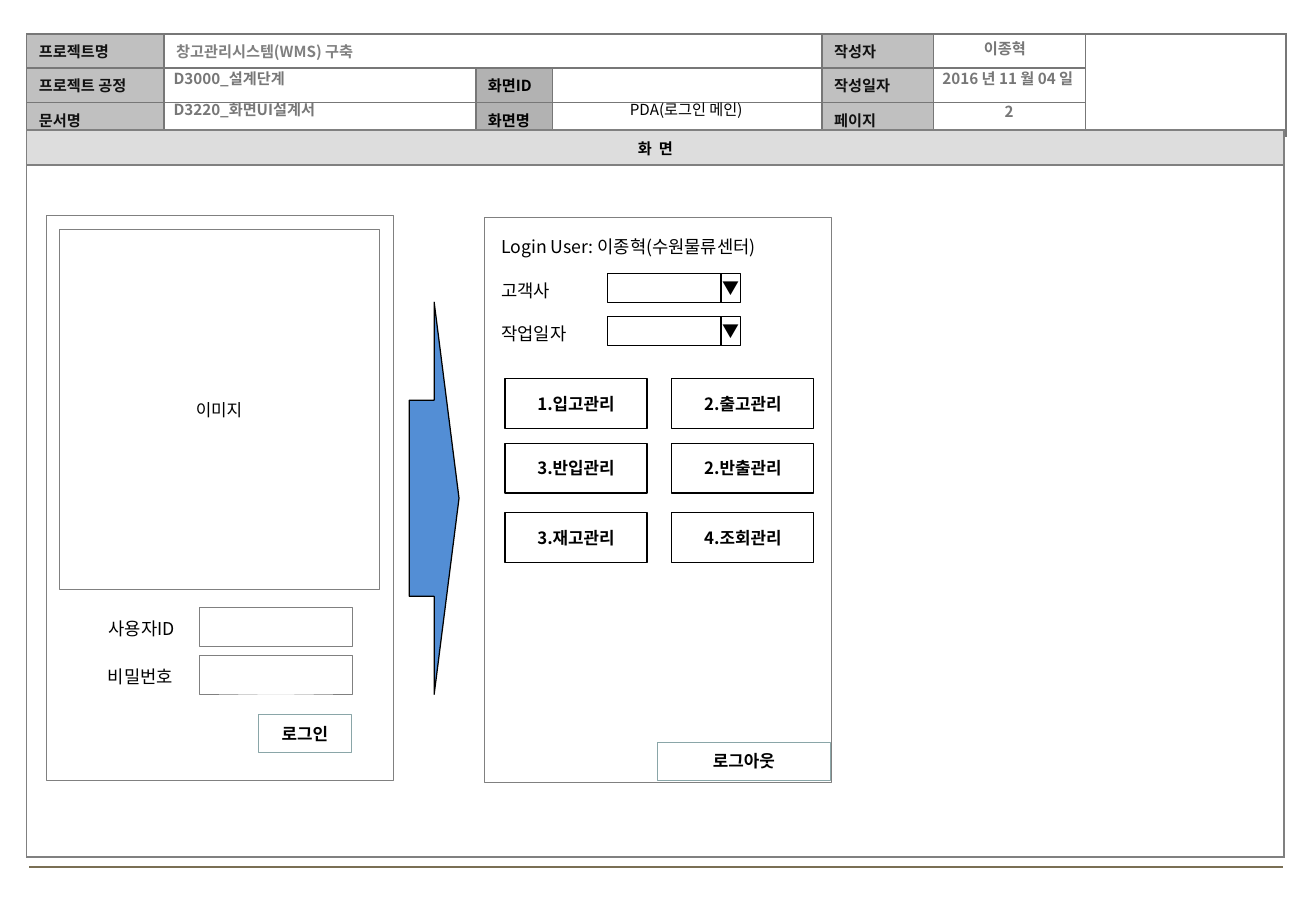
from lxml import etree
from pptx import Presentation
from pptx.dml.color import RGBColor
from pptx.enum.shapes import MSO_CONNECTOR, MSO_SHAPE
from pptx.enum.text import MSO_ANCHOR, MSO_AUTO_SIZE, PP_ALIGN
from pptx.oxml.ns import qn
from pptx.util import Cm, Pt

RECTANGLE = MSO_SHAPE.RECTANGLE
RIGHT_ARROW = MSO_SHAPE.RIGHT_ARROW
STRAIGHT = MSO_CONNECTOR.STRAIGHT
MIDDLE = MSO_ANCHOR.MIDDLE
LEFT, CENTER = PP_ALIGN.LEFT, PP_ALIGN.CENTER
FIT_TEXT = MSO_AUTO_SIZE.SHAPE_TO_FIT_TEXT

FONT = "Noto Sans CJK KR"
BLACK, WHITE, GRAY, TEAL = "000000", "FFFFFF", "808080", "8AA6A8"
HEADER_LINE, LABEL_TEXT, LABEL_FILL, SCREEN_FILL = "777777", "111111", "C0C0C0", "B2B2B2"


def color(hex_value):
    return RGBColor.from_string(hex_value)


def write(frame, text, size=10, ink=BLACK, bold=False, align=LEFT):
    paragraph = frame.paragraphs[0]
    paragraph.alignment = align
    run = paragraph.add_run()
    run.text = text
    run.font.size = Pt(size)
    run.font.bold = bold
    run.font.color.rgb = color(ink)
    run.font.name = FONT
    etree.SubElement(run.font._element, qn("a:ea")).set("typeface", FONT)


def add_label(slide, text, left, top, width, height=0.71, wrap=True, **style):
    box = slide.shapes.add_textbox(Cm(left), Cm(top), Cm(width), Cm(height))
    box.text_frame.word_wrap = wrap
    box.text_frame.auto_size = FIT_TEXT
    write(box.text_frame, text, **style)


def add_box(slide, left, top, width, height, text="", kind=RECTANGLE, fill=None,
            line=GRAY, weight=0.25, tight=False, **style):
    shape = slide.shapes.add_shape(kind, Cm(left), Cm(top), Cm(width), Cm(height))
    shape.shadow.inherit = False
    if fill:
        shape.fill.solid()
        shape.fill.fore_color.rgb = color(fill)
    else:
        shape.fill.background()
    shape.line.color.rgb = color(line)
    shape.line.width = Pt(weight)
    if text:
        frame = shape.text_frame
        frame.vertical_anchor = MIDDLE
        frame.word_wrap = not tight
        if tight:
            frame.margin_left = frame.margin_right = Cm(0.05)
            frame.margin_top = frame.margin_bottom = Cm(0.1)
        write(frame, text, align=CENTER, **style)


def add_borders(cell, hex_value):
    properties = cell._tc.get_or_add_tcPr()
    for side in ("lnL", "lnR", "lnT", "lnB"):
        line = etree.SubElement(properties, qn(f"a:{side}"), w=str(Pt(1)))
        fill = etree.SubElement(line, qn("a:solidFill"))
        etree.SubElement(fill, qn("a:srgbClr"), val=hex_value)


def add_grid(slide, left, top, columns, rows, border):
    frame = slide.shapes.add_table(len(rows), len(columns), Cm(left), Cm(top),
                                   Cm(sum(columns)), Cm(sum(rows)))
    table = frame.table
    table.first_row = table.horz_banding = False
    for column, width in zip(table.columns, columns):
        column.width = Cm(width)
    for row, height in zip(table.rows, rows):
        row.height = Cm(height)
    for cell in table.iter_cells():
        add_borders(cell, border)
        cell.fill.background()
        # Keeps empty cells from stretching their row
        end = etree.SubElement(cell.text_frame.paragraphs[0]._p, qn("a:endParaRPr"))
        end.set("sz", "900")
    return table


def fill_cell(cell, text, fill=None, **style):
    cell.vertical_anchor = MIDDLE
    if fill:
        cell.fill.solid()
        cell.fill.fore_color.rgb = color(fill)
    write(cell.text_frame, text, size=9, bold=True, **style)


def add_header(slide):
    table = add_grid(slide, 0.56, 0.71, [2.87, 6.52, 1.6, 5.64, 2.33, 3.18, 4.19],
                     [0.64] * 3, HEADER_LINE)
    table.cell(0, 1).merge(table.cell(0, 3))
    table.cell(0, 6).merge(table.cell(2, 6))
    labels = {0: ["프로젝트명", "프로젝트 공정", "문서명"],
              4: ["작성자", "작성일자", "페이지"]}
    for column, texts in labels.items():
        for row, text in enumerate(texts):
            fill_cell(table.cell(row, column), text, LABEL_FILL, ink=LABEL_TEXT)
    for row, text in enumerate(["화면ID", "화면명"], start=1):
        fill_cell(table.cell(row, 2), text, SCREEN_FILL)
    fill_cell(table.cell(0, 1), "창고관리시스템(WMS) 구축", ink=GRAY)


def add_header_values(slide):
    gray = dict(size=9, ink=HEADER_LINE, bold=True)
    add_label(slide, "D3000_설계단계", 3.38, 1.32, 13.76, 0.64, **gray)
    add_label(slide, "D3220_화면UI설계서", 3.38, 1.98, 13.76, 0.64, **gray)
    add_label(slide, "이종혁", 19.02, 0.69, 3.99, 0.64, align=CENTER, **gray)
    add_label(slide, "2016 년 11 월 04 일", 19.08, 1.32, 3.99, 0.64, align=CENTER, **gray)
    add_label(slide, "2", 19.51, 2.01, 3.18, 0.64, align=CENTER, **gray)
    add_label(slide, "PDA(로그인 메인)", 11.58, 1.98, 5.54, 0.64, size=9, align=CENTER)


def add_screen_area(slide):
    table = add_grid(slide, 0.56, 2.72, [26.29], [0.73, 14.47], GRAY)
    title = table.cell(0, 0)
    title.margin_left = title.margin_right = Cm(0.05)
    title.margin_top = title.margin_bottom = Cm(0)
    fill_cell(title, "화  면", "DDDDDD", align=CENTER)


def add_footer_line(slide):
    line = slide.shapes.add_connector(STRAIGHT, Cm(0.61), Cm(18.13), Cm(26.82), Cm(18.13))
    line.line.color.rgb = color("7A6F54")
    line.line.width = Pt(1.75)
    etree.SubElement(line._element.spPr, qn("a:effectLst"))


def add_login_screen(slide):
    add_box(slide, 0.97, 4.5, 7.26, 11.81)
    add_box(slide, 1.23, 4.8, 6.7, 7.52, "이미지", fill=WHITE)
    for text, left, top in [("사용자ID", 1.96, 12.7), ("비밀번호", 1.93, 13.7)]:
        add_box(slide, 4.17, top, 3.2, 0.81, fill=WHITE)
        add_label(slide, text, left, top + 0.1, 2.01, wrap=False, size=10.5, align=CENTER)
    add_box(slide, 5.41, 14.94, 1.93, 0.79, "로그인", line=TEAL, bold=True)


def add_main_screen(slide):
    add_box(slide, 10.13, 4.55, 7.26, 11.81)
    add_box(slide, 13.74, 15.52, 3.63, 0.79, "로그아웃", line=TEAL, bold=True)
    add_label(slide, "Login User: 이종혁(수원물류센터)", 10.24, 4.8, 7.67, size=10.5)

    # Drop-down fields
    outline = dict(line=BLACK, weight=0.75)
    for text, top, width in [("고객사", 5.72, 1.63), ("작업일자", 6.62, 2.01)]:
        add_label(slide, text, 10.24, top, width, wrap=False, size=10.5)
        add_box(slide, 12.7, top, 2.77, 0.6, **outline)
        add_box(slide, 15.08, top, 0.4, 0.6, "▼", fill=WHITE, tight=True, **outline)

    # Menu buttons
    menu = [(7.92, ["1.입고관리", "2.출고관리"]),
            (9.27, ["3.반입관리", "2.반출관리"]),
            (10.72, ["3.재고관리", "4.조회관리"])]
    for top, texts in menu:
        for column, text in enumerate(texts):
            add_box(slide, 10.56 + column * 3.49, top, 2.97, 1.04, text,
                    tight=True, bold=True, **outline)


def main():
    presentation = Presentation()
    presentation.slide_width = Cm(27.52)
    presentation.slide_height = Cm(19.05)
    slide = presentation.slides.add_slide(presentation.slide_layouts[6])

    # Document frame
    add_footer_line(slide)
    add_header(slide)
    add_screen_area(slide)
    add_header_values(slide)

    # Screen flow
    add_login_screen(slide)
    add_box(slide, 8.56, 6.32, 1.04, 8.2, kind=RIGHT_ARROW, fill="538ED5",
            line=BLACK, weight=0.75)
    add_main_screen(slide)

    presentation.save("out.pptx")


if __name__ == "__main__":
    main()
